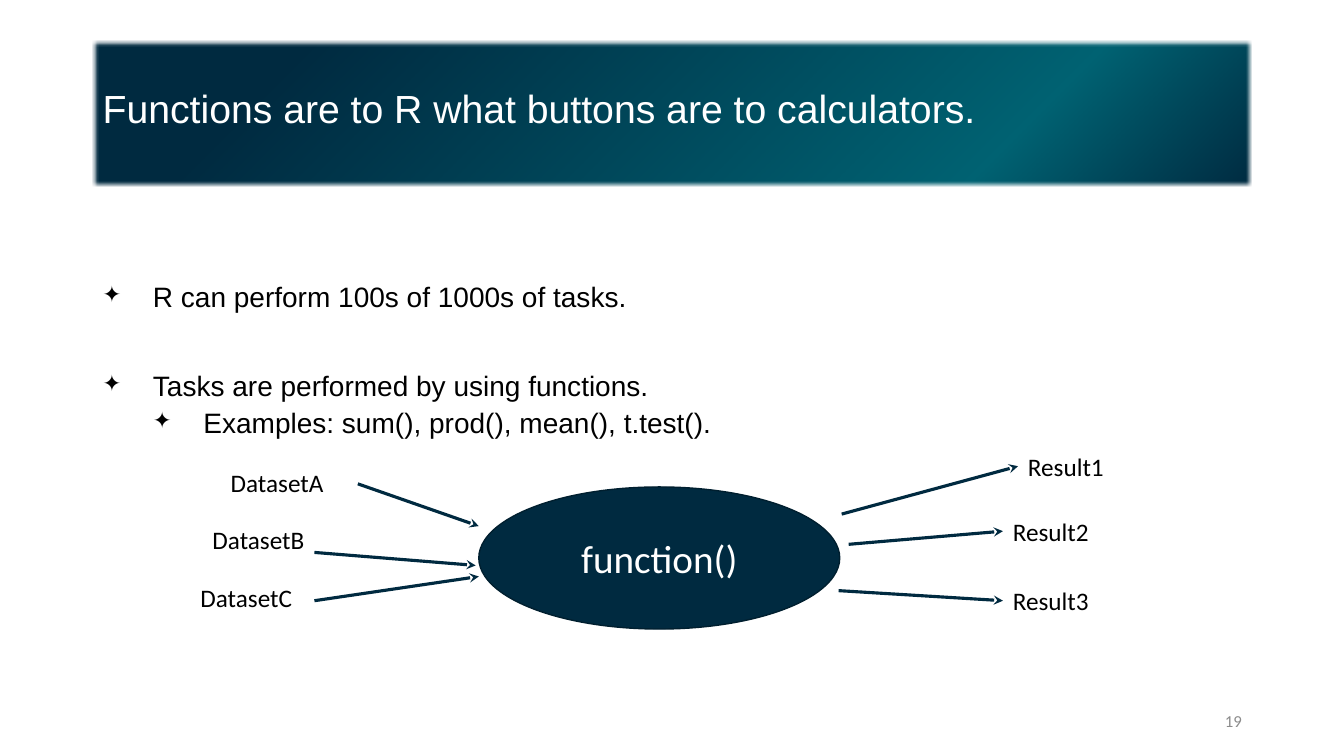
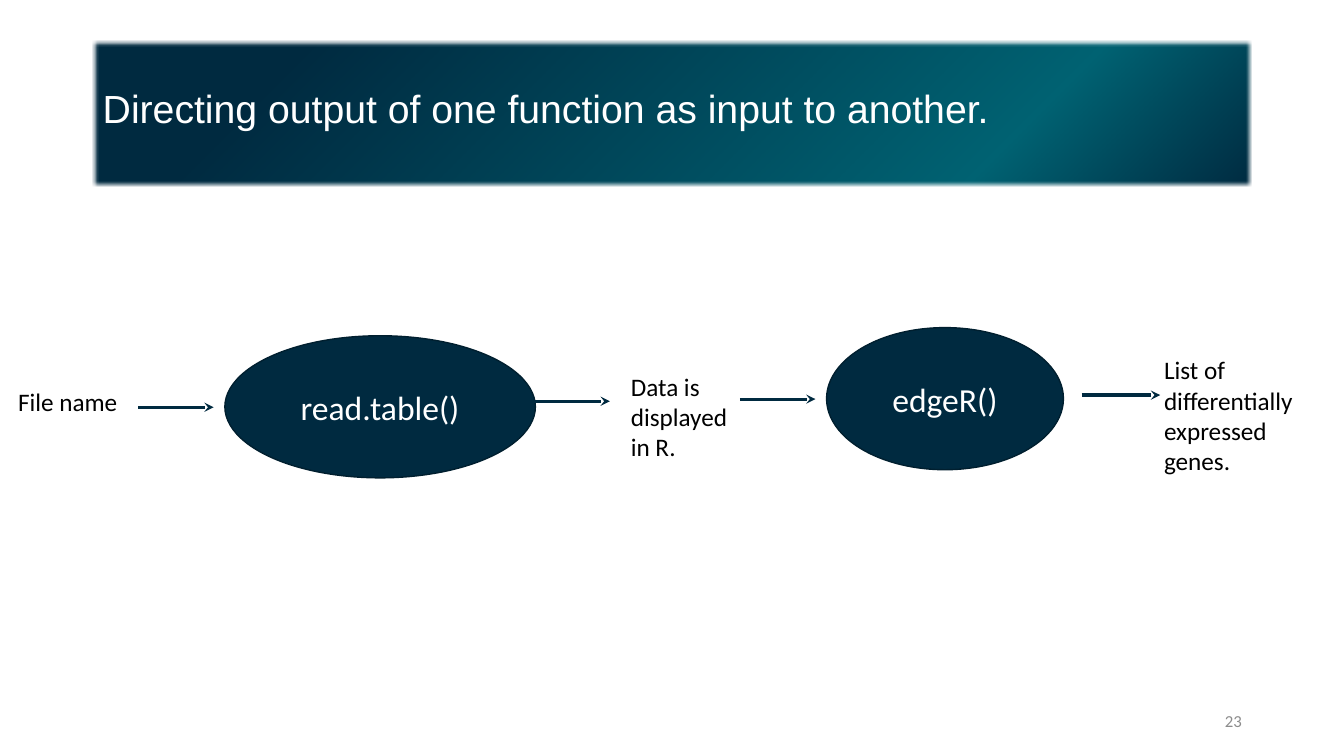
from dataclasses import dataclass, field
from typing import Any, Optional

from lxml import etree
from pptx import Presentation
from pptx.dml.color import RGBColor
from pptx.enum.shapes import MSO_CONNECTOR as Connector, MSO_SHAPE as Preset
from pptx.enum.text import MSO_ANCHOR as Anchor, MSO_AUTO_SIZE as AutoSize, PP_ALIGN as Align
from pptx.oxml import parse_xml
from pptx.oxml.ns import nsdecls, qn
from pptx.util import Pt


@dataclass(frozen=True)
class Theme:
    navy: str = "002A40"
    teal: str = "006272"
    outline: str = "001F2F"
    white: str = "FFFFFF"
    black: str = "000000"
    gray: str = "8C8C8C"
    heading_font: str = "Arial"
    diagram_font: str = "Calibri"
    title_size: float = 28
    bullet_size: float = 20
    label_size: float = 18
    number_size: float = 12
    line_spacing: float = 0.9
    arrow_width: float = 2.25
    indent: float = 36


THEME = Theme()
TITLE_BOX = (66.2, 28.8, 828, 104.4)
BULLET_BOX = (66.2, 188, 846.7, 153.4)
NUMBER_BOX = (678.2, 500.4, 216, 28.8)
OVAL_HEIGHT = 101.5
LABEL_HEIGHT = 28.8


@dataclass(frozen=True)
class Bullet:
    text: str
    level: int = 0
    space_before: float = 0


@dataclass(frozen=True)
class Oval:
    text: str
    left: float
    top: float
    width: float
    size: float


@dataclass(frozen=True)
class Label:
    text: str
    left: float
    top: float
    width: float
    height: float = LABEL_HEIGHT


@dataclass(frozen=True)
class Arrow:
    """An arrow that ends at a point or at the left side of a named label."""
    start: tuple[float, float]
    end: Optional[tuple[float, float]] = None
    target: str = ""


@dataclass(frozen=True)
class SlideContent:
    title: str
    number: int
    bullets: list[Bullet] = field(default_factory=list)
    ovals: list[Oval] = field(default_factory=list)
    labels: list[Label] = field(default_factory=list)
    arrows: list[Arrow] = field(default_factory=list)


SLIDES = [
    SlideContent(
        title="Functions are to R what buttons are to calculators.",
        number=19,
        bullets=[
            Bullet("R can perform 100s of 1000s of tasks."),
            Bullet("Tasks are performed by using functions.", space_before=42),
            Bullet("Examples: sum(), prod(), mean(), t.test().", level=1, space_before=5),
        ],
        ovals=[Oval("function()", 342, 347.8, 257.8, 28)],
        labels=[
            Label("DatasetA", 157.7, 330.5, 119.5),
            Label("DatasetB", 144.7, 370.8, 119.5),
            Label("DatasetC", 136.1, 412.6, 119.5),
            Label("Result1", 727.2, 318.6, 123),
            Label("Result2", 716.4, 365, 123),
            Label("Result3", 716.4, 414.7, 123),
        ],
        arrows=[
            Arrow((255.6, 345.6), (342, 375.8)),
            Arrow((224.6, 394.6), (339.8, 403.9)),
            Arrow((224.6, 429.1), (342, 411.8)),
            Arrow((601.2, 367.2), target="Result1"),
            Arrow((606.2, 388.8), target="Result2"),
            Arrow((599, 421.9), target="Result3"),
        ],
    ),
    SlideContent(
        title="Directing output of one function as input to another.",
        number=23,
        ovals=[
            Oval("read.table()", 160.6, 239.8, 221.8, 24),
            Oval("edgeR()", 590.4, 234, 169.2, 24),
        ],
        labels=[
            Label("File name", 5.8, 272.2, 134.6),
            Label("Data is displayed in R.", 443.5, 261.4, 85, 72.7),
            Label("List of differentially expressed genes.", 824.4, 249.8, 125.3, 94.3),
        ],
        arrows=[
            Arrow((98.6, 290.9), (152.6, 290.9)),
            Arrow((379.4, 286.6), (435.6, 286.6)),
            Arrow((528.5, 285.1), (582.5, 285.1)),
            Arrow((772.6, 282.2), (828.7, 282.2)),
        ],
    ),
]


def apply_format(target: Any, values: dict[str, Any]) -> None:
    for name, value in values.items():
        setattr(target, name, value)


def points(values: tuple[float, ...]) -> list[Pt]:
    return [Pt(value) for value in values]


def format_font(paragraph: Any, font_name: str, size: float, color: str) -> None:
    apply_format(paragraph.font, {"name": font_name, "size": Pt(size), "bold": False})
    paragraph.font.color.rgb = RGBColor.from_string(color)


def write_text(shape: Any, text: str, size: float, color: str,
               align: Align = Align.LEFT, anchor: Anchor = Anchor.TOP) -> None:
    """Put one paragraph in the diagram font into a shape."""
    apply_format(shape.text_frame, {"word_wrap": True, "vertical_anchor": anchor})
    paragraph = shape.text_frame.paragraphs[0]
    apply_format(paragraph, {"text": text, "alignment": align})
    format_font(paragraph, THEME.diagram_font, size, color)


def fill_title_band(title: Any) -> None:
    """Give the title a radial gradient from its lower right corner and soft edges."""
    stops = [(0, THEME.navy), (22, THEME.teal), (83, THEME.navy), (100, THEME.navy)]
    stop_xml = "".join(
        f'<a:gs pos="{position * 1000}"><a:srgbClr val="{color}"/></a:gs>'
        for position, color in stops
    )
    namespace = nsdecls("a")
    properties = title.element.spPr
    for xml in (
        f'<a:prstGeom {namespace} prst="rect"><a:avLst/></a:prstGeom>',
        f'<a:gradFill {namespace} rotWithShape="1"><a:gsLst>{stop_xml}</a:gsLst>'
        '<a:path path="circle"><a:fillToRect l="100000" t="100000"/></a:path>'
        '<a:tileRect r="-100000" b="-100000"/></a:gradFill>',
        f'<a:effectLst {namespace}><a:softEdge rad="31750"/></a:effectLst>',
    ):
        properties.append(parse_xml(xml))


def add_title(slide: Any, text: str) -> None:
    title = slide.shapes.title
    apply_format(title, dict(zip(("left", "top", "width", "height"), points(TITLE_BOX))))
    fill_title_band(title)
    frame = title.text_frame
    apply_format(frame, {
        "auto_size": AutoSize.NONE, "word_wrap": True, "vertical_anchor": Anchor.MIDDLE,
        "margin_left": Pt(7.2), "margin_top": 0, "margin_right": Pt(7.2),
        "margin_bottom": Pt(3.6),
    })
    paragraph = frame.paragraphs[0]
    apply_format(paragraph, {
        "text": text, "alignment": Align.LEFT, "line_spacing": THEME.line_spacing,
    })
    format_font(paragraph, THEME.heading_font, THEME.title_size, THEME.white)


def add_bullets(slide: Any, bullets: list[Bullet]) -> None:
    frame = slide.shapes.add_textbox(*points(BULLET_BOX)).text_frame
    apply_format(frame, {
        "word_wrap": True, "margin_left": Pt(7.2), "margin_top": Pt(14.4),
        "margin_right": 0, "margin_bottom": Pt(3.6),
    })
    for index, bullet in enumerate(bullets):
        paragraph = frame.add_paragraph() if index else frame.paragraphs[0]
        properties = paragraph._p.get_or_add_pPr()
        properties.set("marL", str(Pt(THEME.indent * (bullet.level + 1))))
        properties.set("indent", str(-Pt(THEME.indent)))
        etree.SubElement(properties, qn("a:buSzPct"), val="80000")
        etree.SubElement(properties, qn("a:buChar"), char="✦")
        apply_format(paragraph, {
            "text": bullet.text, "level": bullet.level,
            "line_spacing": THEME.line_spacing, "space_before": Pt(bullet.space_before),
        })
        format_font(paragraph, THEME.heading_font, THEME.bullet_size, THEME.black)


def add_oval(slide: Any, oval: Oval) -> None:
    box = (oval.left, oval.top, oval.width, OVAL_HEIGHT)
    shape = slide.shapes.add_shape(Preset.OVAL, *points(box))
    shape.shadow.inherit = False
    shape.fill.solid()
    shape.fill.fore_color.rgb = RGBColor.from_string(THEME.navy)
    shape.line.color.rgb = RGBColor.from_string(THEME.outline)
    shape.line.width = Pt(1)
    write_text(shape, oval.text, oval.size, THEME.white, Align.CENTER, Anchor.MIDDLE)


def add_label(slide: Any, label: Label) -> Any:
    box = (label.left, label.top, label.width, label.height)
    shape = slide.shapes.add_textbox(*points(box))
    write_text(shape, label.text, THEME.label_size, THEME.black)
    return shape


def add_arrow(slide: Any, arrow: Arrow, labels: dict[str, Any]) -> None:
    end = arrow.end or arrow.start
    connector = slide.shapes.add_connector(Connector.STRAIGHT, *points(arrow.start + end))
    if arrow.target:
        connector.end_connect(labels[arrow.target], 1)
    connector.line.color.rgb = RGBColor.from_string(THEME.navy)
    connector.line.width = Pt(THEME.arrow_width)
    etree.SubElement(connector.line._get_or_add_ln(), qn("a:tailEnd"), type="stealth")
    etree.SubElement(connector.element.spPr, qn("a:effectLst"))


def add_slide(presentation: Any, content: SlideContent) -> None:
    slide = presentation.slides.add_slide(presentation.slide_layouts.get_by_name("Title Only"))
    add_title(slide, content.title)
    if content.bullets:
        add_bullets(slide, content.bullets)
    for oval in content.ovals:
        add_oval(slide, oval)
    labels = {label.text: add_label(slide, label) for label in content.labels}
    for arrow in content.arrows:
        add_arrow(slide, arrow, labels)
    number = slide.shapes.add_textbox(*points(NUMBER_BOX))
    write_text(number, str(content.number), THEME.number_size, THEME.gray,
               Align.RIGHT, Anchor.MIDDLE)


def main() -> None:
    presentation = Presentation()
    apply_format(presentation, {"slide_width": Pt(960), "slide_height": Pt(540)})
    for content in SLIDES:
        add_slide(presentation, content)
    presentation.save("out.pptx")


if __name__ == "__main__":
    main()
